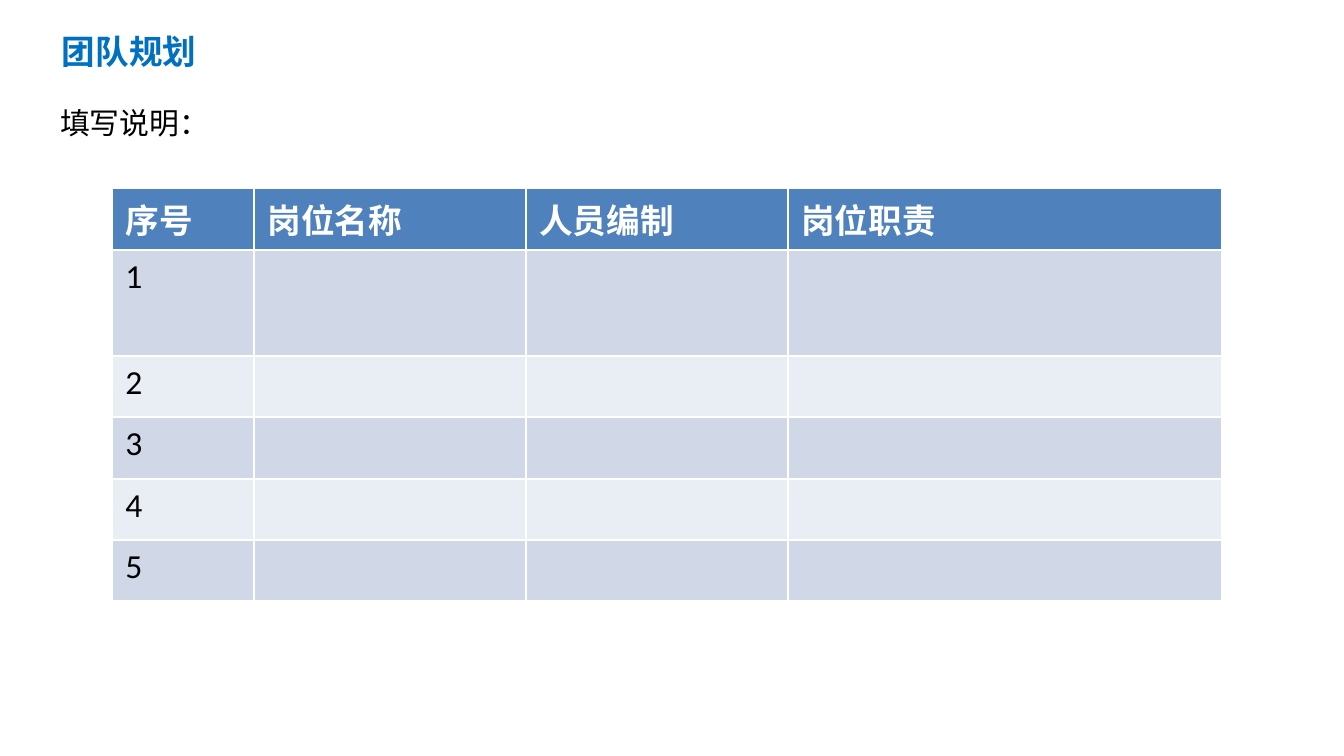
"""Build the team planning slide with its staffing table."""
from lxml.etree import SubElement
from pptx import Presentation
from pptx.dml.color import RGBColor
from pptx.enum.text import MSO_ANCHOR, MSO_AUTO_SIZE
from pptx.oxml.ns import qn
from pptx.util import Pt

PX = 914400 / 134.4
BLUE = RGBColor(0x00, 0x70, 0xC0)
HEADER = RGBColor(0x4F, 0x81, 0xBD)
BAND_DARK = RGBColor(0xD0, 0xD8, 0xE8)
BAND_LIGHT = RGBColor(0xE9, 0xED, 0xF4)
WHITE = RGBColor(0xFF, 0xFF, 0xFF)
BLACK = RGBColor(0x00, 0x00, 0x00)
CJK = "Noto Sans CJK SC"

TEXTS = [
    ("团队规划", (62, 31, 610, 40),
     {"size": Pt(18), "name": "Arial Narrow", "bold": True}, BLUE,
     {"margin_left": 0, "margin_top": 0, "margin_right": 0, "margin_bottom": 0,
      "vertical_anchor": MSO_ANCHOR.MIDDLE}),
    ("填写说明：", (47, 98, 1185, 195),
     {"size": Pt(16), "name": CJK, "bold": False}, BLACK, {}),
]
HEADINGS = ["序号", "岗位名称", "人员编制", "岗位职责"]
NUMBERS = ["1", "2", "3", "4", "5"]
TABLE_AT = (112, 188)
COLS = [142, 272, 262, 434]
ROWS = [62, 106, 61, 62, 61, 61]


def px(*values):
    return [round(v * PX) for v in values]


def set_all(obj, values):
    for key, value in values.items():
        setattr(obj, key, value)


def write(tf, text, font, color):
    r = tf.paragraphs[0].add_run()
    r.text = text
    set_all(r.font, font)
    r.font.color.rgb = color
    SubElement(r.font._element, qn("a:ea"), typeface=CJK)


def add_text(s, text, box, font, color, frame):
    tf = s.shapes.add_textbox(*px(*box)).text_frame
    set_all(tf, {"word_wrap": True, "auto_size": MSO_AUTO_SIZE.NONE, **frame})
    write(tf, text, font, color)


def add_staff_table(s):
    rows = [HEADINGS] + [[n, "", "", ""] for n in NUMBERS]
    table = s.shapes.add_table(len(rows), len(COLS),
                               *px(*TABLE_AT, sum(COLS), sum(ROWS))).table
    for col, width in zip(table.columns, px(*COLS)):
        col.width = width
    for row, height in zip(table.rows, px(*ROWS)):
        row.height = height
    for i, row in enumerate(rows):
        fill = HEADER if i == 0 else BAND_DARK if i % 2 else BAND_LIGHT
        font = {"size": Pt(18), "name": "Calibri", "bold": i == 0}
        for j, text in enumerate(row):
            cell = table.cell(i, j)
            cell.fill.solid()
            cell.fill.fore_color.rgb = fill
            if text:
                write(cell.text_frame, text, font, BLACK if i else WHITE)


def main():
    prs = Presentation()
    prs.slide_width, prs.slide_height = px(1344, 756)
    s = prs.slides.add_slide(prs.slide_layouts[6])
    for item in TEXTS:
        add_text(s, *item)
    add_staff_table(s)
    prs.save("out.pptx")


if __name__ == "__main__":
    main()
